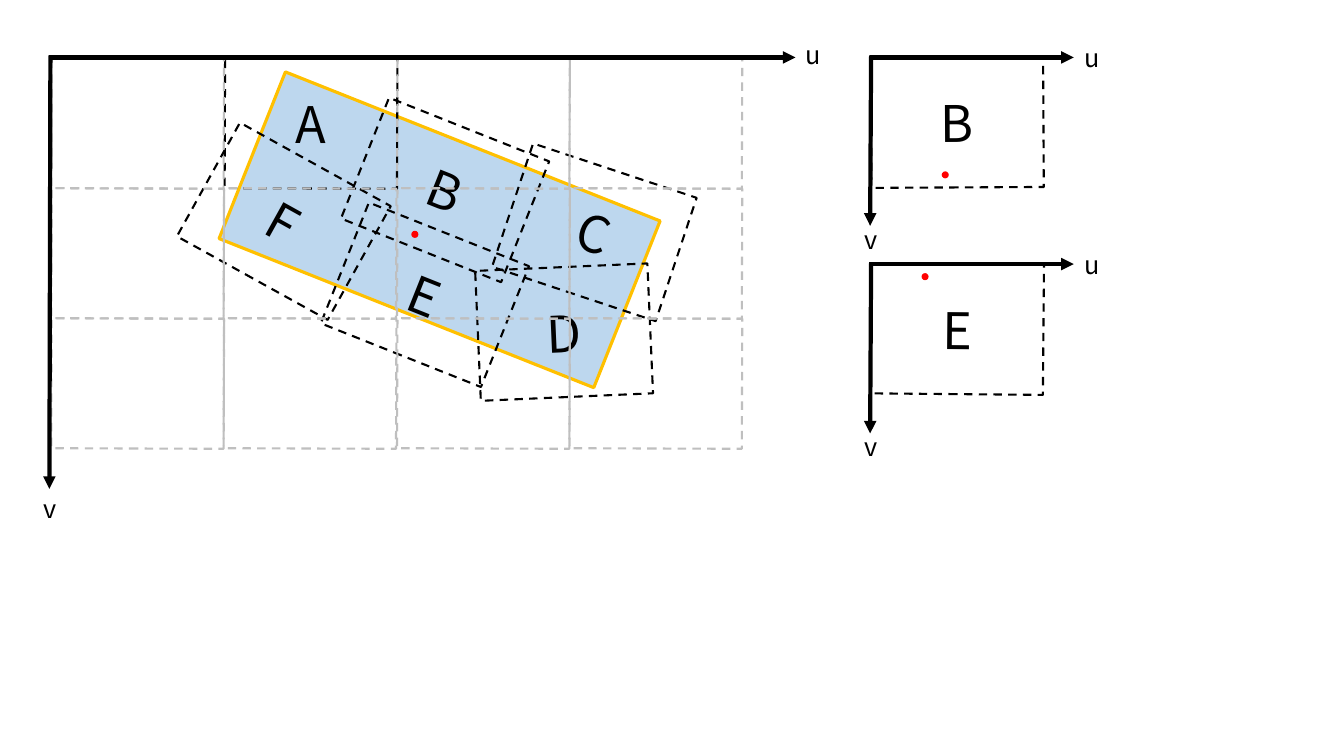
from dataclasses import dataclass
from itertools import product

from lxml.etree import SubElement
from pptx import Presentation
from pptx.dml.color import RGBColor
from pptx.enum.dml import MSO_LINE_DASH_STYLE as Dash
from pptx.enum.shapes import MSO_CONNECTOR as Connector, MSO_SHAPE as Preset
from pptx.enum.text import MSO_ANCHOR as Anchor, MSO_AUTO_SIZE as AutoSize, PP_ALIGN as Align
from pptx.oxml.ns import qn
from pptx.shapes.autoshape import Shape
from pptx.shapes.shapetree import GroupShapes, SlideShapes
from pptx.text.text import TextFrame
from pptx.util import Pt

PX = 9144  # EMU, 100 px to the inch
FONT = "Noto Sans CJK SC"
COLORS = {
    "black": "000000",
    "grid": "BFBFBF",
    "map": "BDD7EE",
    "map_edge": "FFC000",
    "point": "FF0000",
}
TILE_WIDTH, TILE_HEIGHT = 171, 129
POINT_SIZE = 7


@dataclass(frozen=True)
class Tile:
    left: int
    top: int
    angle: float
    letter: str = ""
    color: str = "black"


@dataclass(frozen=True)
class Axes:
    x: int
    y: int
    u_tip: int
    v_tip: int
    u_label: tuple[int, int]
    v_label: tuple[int, int]


@dataclass(frozen=True)
class View:
    """One tile seen in its own frame, with the shared point."""
    tile: Tile
    point: tuple[int, int]


MAP_TILES = [
    Tile(223, 58, 0.2, "A"),
    Tile(356, 124, 21.7, "B"),
    Tile(504, 166, 18.4, "C"),
    Tile(474, 265, -2.5, "D"),
    Tile(336, 228, 21.7, "E"),
    Tile(196, 155, 29, "F"),
]
MAP_POINT = (408, 229)
# Tile A already occupies the second cell of the top row.
GRID_TILES = [
    Tile(51 + 343 * column // 2, 58 + TILE_HEIGHT * row, 0.2, color="grid")
    for row, column in product(range(3), range(4))
    if (row, column) != (0, 1)
]
VIEWS = [
    View(Tile(864, 57, -0.3, "B"), (934, 170)),
    View(Tile(864, 262, 0.5, "E"), (914, 271)),
]
ALL_AXES = [
    Axes(864, 57, 1065, 224, (1066, 37), (848, 218)),
    Axes(864, 262, 1065, 430, (1066, 242), (848, 423)),
    Axes(50, 57, 789, 485, (789, 34), (33, 484)),
]


def rgb(name: str) -> RGBColor:
    return RGBColor.from_string(COLORS[name])


def write(frame: TextFrame, text: str, size: int) -> None:
    para = frame.paragraphs[0]
    para.text = text
    para.alignment = Align.CENTER
    para.font.size = Pt(size)
    para.font.name = FONT
    para.font.color.rgb = rgb("black")


def add_plain_shape(shapes: GroupShapes, preset: Preset, left: int, top: int,
                    width: int, height: int) -> Shape:
    shape = shapes.add_shape(preset, left * PX, top * PX, width * PX, height * PX)
    shape.shadow.inherit = False
    return shape


def add_map(shapes: GroupShapes) -> None:
    area = add_plain_shape(shapes, Preset.RECTANGLE, 236, 139, 400, 178)
    area.rotation = 21.7
    area.fill.solid()
    area.fill.fore_color.rgb = rgb("map")
    area.line.color.rgb = rgb("map_edge")
    area.line.width = Pt(2.25)


def add_tile(shapes: GroupShapes, tile: Tile) -> None:
    box = add_plain_shape(shapes, Preset.RECTANGLE, tile.left, tile.top,
                          TILE_WIDTH, TILE_HEIGHT)
    box.rotation = tile.angle
    box.fill.background()
    box.line.color.rgb = rgb(tile.color)
    box.line.width = Pt(1.5)
    box.line.dash_style = Dash.DASH
    if tile.letter:
        box.text_frame.vertical_anchor = Anchor.MIDDLE
        write(box.text_frame, tile.letter, 36)


def add_point(shapes: GroupShapes, left: int, top: int) -> None:
    dot = add_plain_shape(shapes, Preset.OVAL, left, top, POINT_SIZE, POINT_SIZE)
    dot.fill.solid()
    dot.fill.fore_color.rgb = rgb("point")
    dot.line.fill.background()


def add_arrow(shapes: SlideShapes, start: tuple[int, int], end: tuple[int, int]) -> None:
    points = [value * PX for value in (*start, *end)]
    arrow = shapes.add_connector(Connector.STRAIGHT, *points)
    arrow.line.color.rgb = rgb("black")
    arrow.line.width = Pt(3)
    SubElement(arrow.line._get_or_add_ln(), qn("a:tailEnd"), type="triangle")
    SubElement(arrow._element.spPr, qn("a:effectLst"))


def add_label(shapes: SlideShapes, text: str, left: int, top: int, width: int) -> None:
    box = shapes.add_textbox(left * PX, top * PX, width * PX, 40 * PX)
    box.text_frame.word_wrap = False
    box.text_frame.auto_size = AutoSize.SHAPE_TO_FIT_TEXT
    write(box.text_frame, text, 18)


def add_axes(shapes: SlideShapes, axes: Axes) -> None:
    add_label(shapes, "u", *axes.u_label, 34)
    add_label(shapes, "v", *axes.v_label, 32)
    add_arrow(shapes, (axes.x - 1, axes.y), (axes.u_tip, axes.y))
    add_arrow(shapes, (axes.x, axes.y - 2), (axes.x - 1, axes.v_tip))


def main() -> None:
    deck = Presentation()
    deck.slide_width, deck.slide_height = 1333 * PX, 750 * PX
    page = deck.slides.add_slide(deck.slide_layouts[6])

    mosaic = page.shapes.add_group_shape().shapes
    add_map(mosaic)
    for tile in MAP_TILES:
        add_tile(mosaic, tile)
    add_point(mosaic, *MAP_POINT)
    for tile in GRID_TILES:
        add_tile(mosaic, tile)

    for view in VIEWS:
        group = page.shapes.add_group_shape().shapes
        add_tile(group, view.tile)
        add_point(group, *view.point)

    for axes in ALL_AXES:
        add_axes(page.shapes, axes)

    deck.save("out.pptx")


if __name__ == "__main__":
    main()
